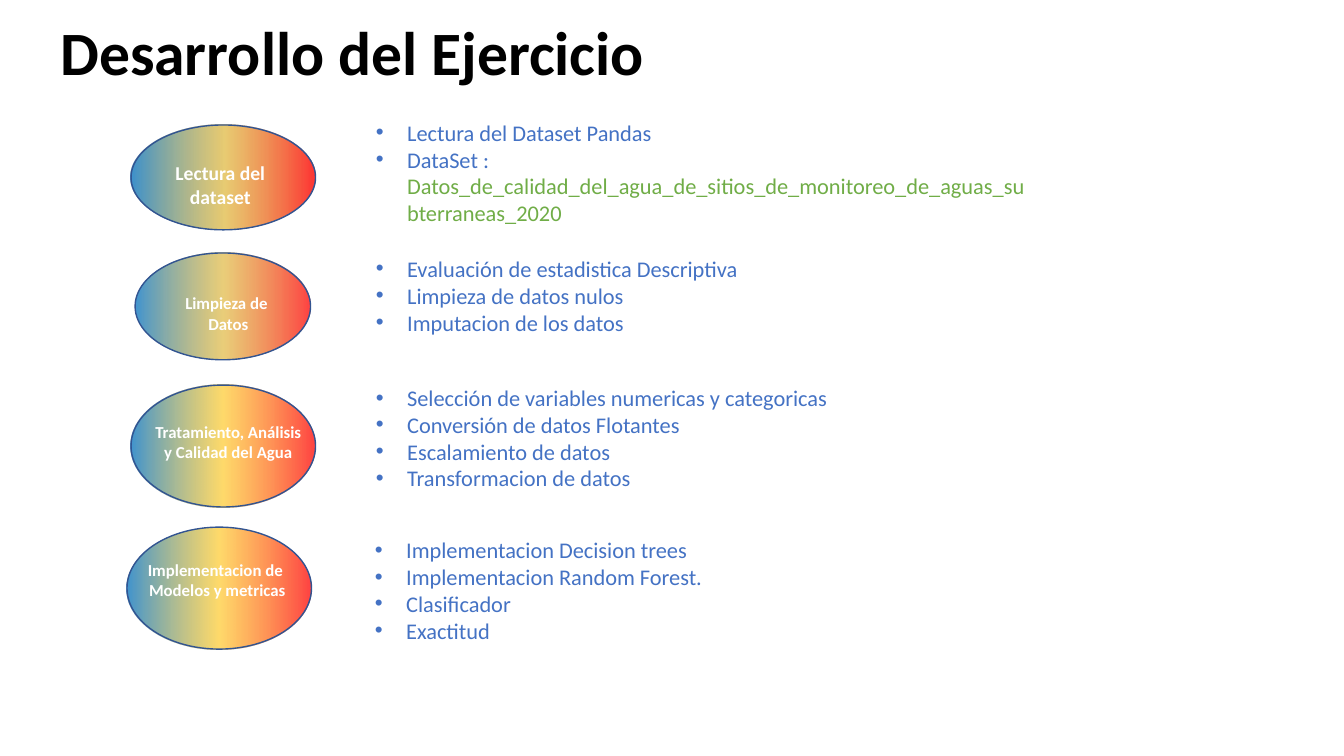
"""Build the slide listing the four stages of the water quality exercise."""
from lxml import etree
from pptx import Presentation
from pptx.dml.color import RGBColor
from pptx.enum.shapes import MSO_SHAPE
from pptx.enum.text import MSO_ANCHOR, PP_ALIGN
from pptx.oxml.ns import qn
from pptx.util import Inches, Pt

OVAL = MSO_SHAPE.OVAL
CENTER, LEFT = PP_ALIGN.CENTER, PP_ALIGN.LEFT
MIDDLE, TOP = MSO_ANCHOR.MIDDLE, MSO_ANCHOR.TOP
BLUE, GREEN, WHITE, BLACK, OUTLINE = "4472C4", "70AD47", "FFFFFF", "000000", "325491"

BRIGHT = [(0, "FF0000", 74), (50, "FFC000", 58), (100, "0070C0", 75)]
MUTED = [(0, "FF0000", 74), (50, "D7A200", 52), (100, "0070C0", 74)]
STRONG = [(0, "FF0000", 80), (49, "D7A200", 55), (100, "0070C0", 77)]

STAGES = [
    {
        "oval": (1.3, 1.24, 1.83, 1.04), "stops": STRONG,
        "label": (1.13, 1.55, 2.11, 0.57), "size": 14,
        "lines": ["Lectura del", "dataset"],
        "list": (3.63, 1.13, 6.69, 1.18),
        "items": [
            [("Lectura del Dataset Pandas", BLUE)],
            [("DataSet : ", BLUE),
             ("Datos_de_calidad_del_agua_de_sitios_de_monitoreo_de_aguas_subterraneas_2020", GREEN)],
        ],
    },
    {
        "oval": (1.34, 2.51, 1.74, 1.06), "stops": MUTED,
        "label": (1.4, 2.86, 1.73, 0.5), "size": 12,
        "lines": ["Limpieza de ", "Datos"],
        "list": (3.63, 2.48, 4.98, 0.97),
        "items": [
            [("Evaluación de estadistica Descriptiva", BLUE)],
            [("Limpieza de datos nulos", BLUE)],
            [("Imputacion de los datos", BLUE)],
        ],
    },
    {
        "oval": (1.3, 3.82, 1.83, 1.21), "stops": BRIGHT,
        "label": (1.4, 4.13, 1.73, 0.5), "size": 12,
        "lines": ["Tratamiento, Análisis y Calidad del Agua"],
        "list": (3.63, 3.76, 4.99, 1.28),
        "items": [
            [("Selección de variables numericas y categoricas", BLUE)],
            [("Conversión de datos Flotantes", BLUE)],
            [("Escalamiento de datos", BLUE)],
            [("Transformacion de datos", BLUE)],
        ],
    },
    {
        "oval": (1.26, 5.23, 1.83, 1.21), "stops": BRIGHT,
        "label": (1.29, 5.5, 1.73, 0.5), "size": 12,
        "lines": ["Implementacion de ", "Modelos y metricas"],
        "list": (3.62, 5.27, 4.99, 1.28),
        "items": [
            [("Implementacion Decision trees", BLUE)],
            [("Implementacion Random Forest.", BLUE)],
            [("Clasificador", BLUE)],
            [("Exactitud", BLUE)],
        ],
    },
]


def color(value):
    return RGBColor.from_string(value)


def add_text(page, place, paragraphs, size, bold=False, align=LEFT, anchor=TOP,
             spacing=1.0, bullet=False):
    box = page.shapes.add_textbox(*[Inches(length) for length in place])
    frame = box.text_frame
    frame.word_wrap = True
    frame.vertical_anchor = anchor
    for index, spans in enumerate(paragraphs):
        para = frame.add_paragraph() if index else frame.paragraphs[0]
        para.alignment = align
        para.line_spacing = spacing
        if bullet:
            properties = para._p.get_or_add_pPr()
            properties.set("marL", str(Inches(0.31)))
            properties.set("indent", str(-Inches(0.31)))
            etree.SubElement(properties, qn("a:buFont"), typeface="Arial")
            etree.SubElement(properties, qn("a:buChar"), char="•")
        for text, value in spans:
            span = para.add_run()
            span.text = text
            span.font.name = "Calibri"
            span.font.size = Pt(size)
            span.font.bold = bold
            span.font.color.rgb = color(value)


deck = Presentation()
deck.slide_width, deck.slide_height = Inches(13.33), Inches(7.5)
page = deck.slides.add_slide(deck.slide_layouts[6])

add_text(page, (0.5, 0.09, 11.5, 0.92), [[("Desarrollo del Ejercicio", BLACK)]], 44,
         bold=True, anchor=MIDDLE, spacing=0.9)

for stage in STAGES:
    oval = page.shapes.add_shape(OVAL, *[Inches(length) for length in stage["oval"]])
    oval.shadow.inherit = False
    oval.line.color.rgb = color(OUTLINE)
    oval.line.width = Pt(1)
    oval.fill.gradient()
    oval.fill.gradient_angle = 180
    stop_list = next(oval._element.iter(qn("a:gsLst")))
    for stop in list(stop_list):
        stop_list.remove(stop)
    for position, value, opacity in stage["stops"]:
        stop = etree.SubElement(stop_list, qn("a:gs"), pos=str(position * 1000))
        tint = etree.SubElement(stop, qn("a:srgbClr"), val=value)
        etree.SubElement(tint, qn("a:alpha"), val=str(opacity * 1000))

    add_text(page, stage["label"], [[(line, WHITE)] for line in stage["lines"]],
             stage["size"], bold=True, align=CENTER)
    add_text(page, stage["list"], stage["items"], 16, bullet=True)

deck.save("out.pptx")
